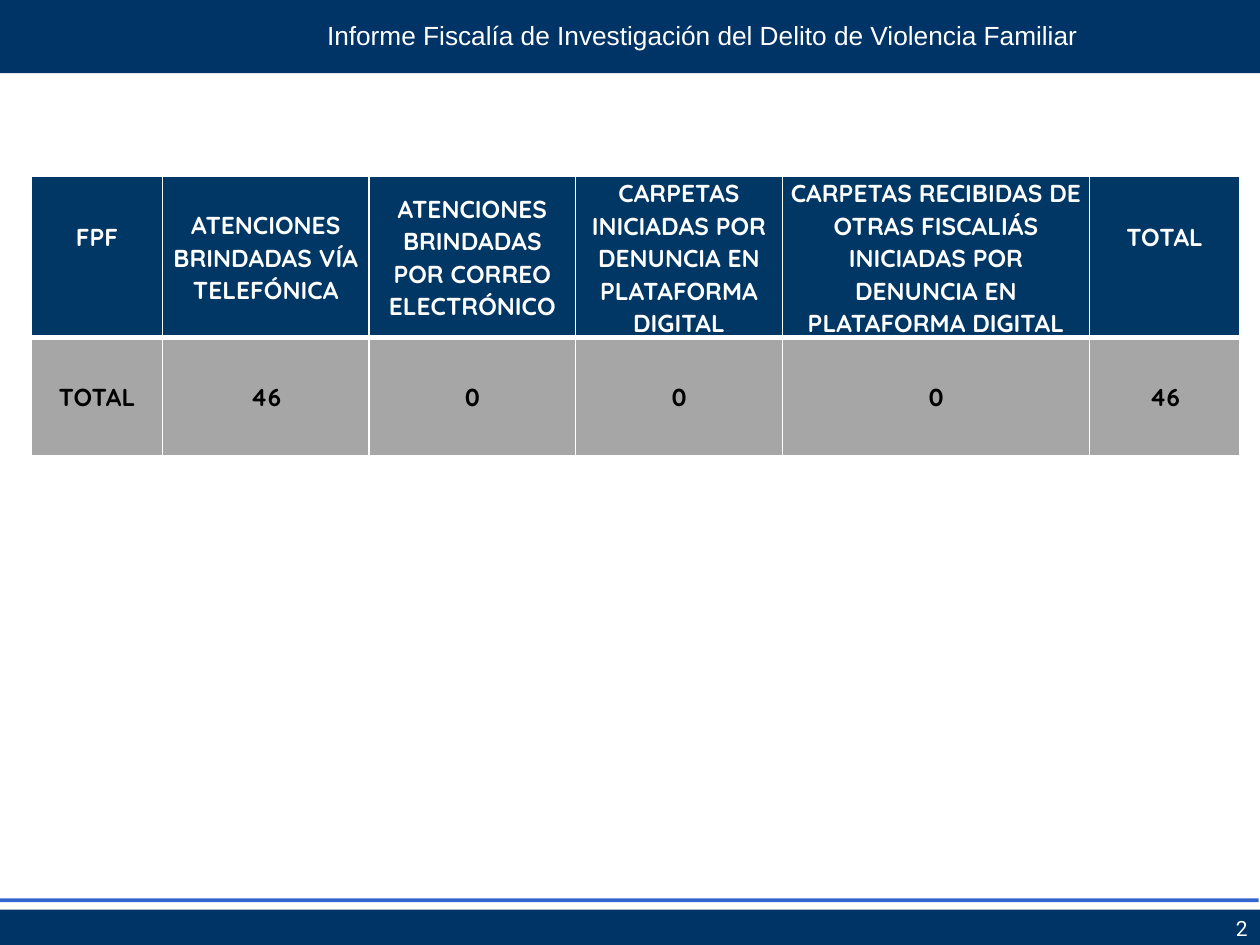
from dataclasses import dataclass

from lxml.etree import SubElement
from pptx import Presentation
from pptx.dml.color import RGBColor as RGB
from pptx.enum.shapes import MSO_SHAPE as Shape
from pptx.enum.text import MSO_ANCHOR as Anchor, PP_ALIGN as Align
from pptx.oxml.ns import qn
from pptx.util import Inches, Pt


@dataclass(frozen=True)
class Theme:
    navy: str = "003366"
    accent: str = "3366CC"
    header: str = "003765"
    total: str = "A6A6A6"
    white: str = "FFFFFF"
    black: str = "000000"
    title_font: str = "Arial"
    table_font: str = "Quicksand"
    number_font: str = "Roboto"
    title_size: int = 15
    table_size: int = 14
    number_size: int = 12
    thin: int = 1
    thick: int = 3


class ReportSlide:
    def __init__(self, deck, theme):
        self.theme = theme
        self.slide = deck.slides.add_slide(deck.slide_layouts[5])
        self.shapes = self.slide.shapes

    def set_text(self, frame, text, font, size, color, align, bold=False, spacing=1.0):
        frame.text = text
        frame.word_wrap = True
        paragraph = frame.paragraphs[0]
        paragraph.alignment = align
        paragraph.line_spacing = spacing
        for run in paragraph.runs:
            run.font.name = font
            run.font.size = Pt(size)
            run.font.bold = bold
            run.font.color.rgb = RGB.from_string(color)

    def band(self, left, top, width, height, color):
        band = self.shapes.add_shape(
            Shape.RECTANGLE, Inches(left), Inches(top), Inches(width), Inches(height))
        band.shadow.inherit = False
        band.fill.solid()
        band.fill.fore_color.rgb = RGB.from_string(color)
        band.line.fill.background()

    def title(self, text, left, top, width, height):
        title = self.shapes.title
        title.left, title.top = Inches(left), Inches(top)
        title.width, title.height = Inches(width), Inches(height)
        title.text_frame.vertical_anchor = Anchor.TOP
        self.set_text(title.text_frame, text, self.theme.title_font,
                      self.theme.title_size, self.theme.white, Align.CENTER, spacing=0.9)
        # Bring the title in front of the top band
        self.shapes.element.append(title.element)

    def page_number(self, text, left, top, width, height):
        number = self.shapes.add_textbox(
            Inches(left), Inches(top), Inches(width), Inches(height))
        number.text_frame.vertical_anchor = Anchor.MIDDLE
        self.set_text(number.text_frame, text, self.theme.number_font,
                      self.theme.number_size, self.theme.white, Align.RIGHT)

    def borders(self, cell, top, bottom):
        properties = cell._tc.get_or_add_tcPr()
        thin = self.theme.thin
        for side, width in (("L", thin), ("R", thin), ("T", top), ("B", bottom)):
            line = SubElement(properties, qn(f"a:ln{side}"), w=str(Pt(width)))
            fill = SubElement(line, qn("a:solidFill"))
            SubElement(fill, qn("a:srgbClr"), val=self.theme.white)

    def cell(self, cell, text, is_header, is_short):
        theme = self.theme
        self.borders(cell, theme.thin if is_header else theme.thick,
                     theme.thick if is_header else theme.thin)
        cell.fill.solid()
        cell.fill.fore_color.rgb = RGB.from_string(
            theme.header if is_header else theme.total)
        cell.margin_left = cell.margin_right = Inches(0.05)
        cell.margin_top = cell.margin_bottom = 0
        cell.vertical_anchor = Anchor.MIDDLE
        # One-word headings hang from the top of the row
        if is_header and is_short:
            cell.vertical_anchor = Anchor.TOP
            cell.margin_top = Inches(0.35)
        self.set_text(cell.text_frame, text, theme.table_font, theme.table_size,
                      theme.white if is_header else theme.black, Align.CENTER,
                      bold=True, spacing=1.06 if is_header else 1.0)

    def table(self, rows, left, top, widths, heights):
        table = self.shapes.add_table(
            len(rows), len(widths), Inches(left), Inches(top),
            Inches(sum(widths)), Inches(sum(heights))).table
        for column, width in zip(table.columns, widths):
            column.width = Inches(width)
        for r, (texts, height) in enumerate(zip(rows, heights)):
            table.rows[r].height = Inches(height)
            for c, text in enumerate(texts):
                self.cell(table.cell(r, c), text, r == 0, " " not in text)


def main():
    deck = Presentation()
    deck.slide_width, deck.slide_height = Inches(10), Inches(7.5)
    theme = Theme()
    report = ReportSlide(deck, theme)

    # Top and bottom bands
    report.band(0, 0, 10, 0.58, theme.navy)
    report.band(-0.01, 7.13, 10, 0.03, theme.accent)
    report.band(0, 7.22, 10, 0.29, theme.navy)
    report.page_number("2", 7.75, 7.25, 2.25, 0.23)

    # Attention and case file counts
    headings = [
        "FPF",
        "ATENCIONES BRINDADAS VÍA TELEFÓNICA",
        "ATENCIONES BRINDADAS POR CORREO ELECTRÓNICO",
        "CARPETAS INICIADAS POR DENUNCIA EN PLATAFORMA DIGITAL",
        "CARPETAS RECIBIDAS DE OTRAS FISCALIÁS INICIADAS POR DENUNCIA EN PLATAFORMA DIGITAL",
        "TOTAL",
    ]
    totals = ["TOTAL", "46", "0", "0", "0", "46"]
    report.table([headings, totals], 0.25, 1.4,
                 widths=[1.04, 1.64, 1.64, 1.64, 2.44, 1.19], heights=[1.28, 0.94])

    # Title
    report.title("Informe Fiscalía de Investigación del Delito de Violencia Familiar",
                 1.54, 0.13, 8.07, 0.4)
    deck.save("out.pptx")


if __name__ == "__main__":
    main()
